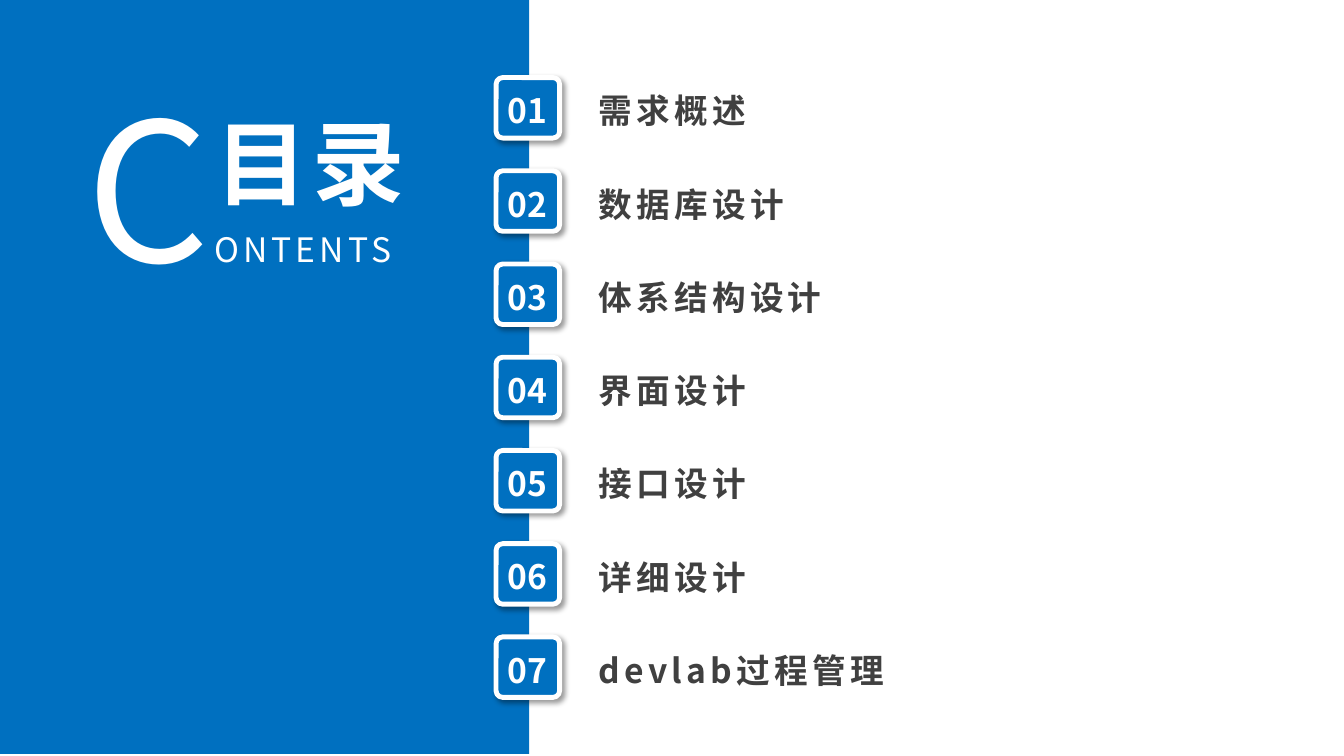
from lxml import etree
from pptx import Presentation
from pptx import util as u
from pptx.dml.color import RGBColor
from pptx.enum import shapes, text
from pptx.oxml import ns

BLUE, WHITE, GREY, BLACK = "0070C0", "FFFFFF", "404040", "000000"
TOPICS = ["需求概述", "数据库设计", "体系结构设计", "界面设计",
          "接口设计", "详细设计", "devlab过程管理"]
FIRST_ROW, ROW_STEP = 10.27, 12.33


def rgb(color):
    return RGBColor.from_string(color)


class Deck:
    """Draws on one slide, with lengths in hundredths of its width and height."""

    font = "Noto Sans CJK SC"

    def __init__(self):
        self.prs = Presentation()
        self.prs.slide_width, self.prs.slide_height = u.Inches(13.33), u.Inches(7.5)
        self.s = self.prs.slides.add_slide(self.prs.slide_layouts[1])

    def box(self, x, y, w, h):
        col, row = self.prs.slide_width / 100, self.prs.slide_height / 100
        return [u.Emu(round(n)) for n in (x * col, y * row, w * col, h * row)]

    def place(self, sp, *at):
        sp.left, sp.top, sp.width, sp.height = self.box(*at)

    def frame(self, sp, anchor=text.MSO_ANCHOR.MIDDLE):
        tf = sp.text_frame
        tf.word_wrap, tf.auto_size = True, text.MSO_AUTO_SIZE.NONE
        tf.vertical_anchor = anchor
        return tf

    def run(self, p, words, size, color, bold=False, spacing=0):
        r = p.add_run()
        r.text = words
        r.font.size, r.font.bold, r.font.name = u.Pt(size), bold, self.font
        r.font.color.rgb = rgb(color)
        rPr = r.font._element
        rPr.set("spc", str(spacing * 100))
        etree.SubElement(rPr, ns.qn("a:ea"), typeface=self.font)

    def panel(self, *at):
        sp = self.s.shapes.add_shape(shapes.MSO_SHAPE.RECTANGLE, *self.box(*at))
        sp.shadow.inherit = False
        sp.fill.solid()
        sp.fill.fore_color.rgb = rgb(BLUE)
        sp.line.fill.background()
        self.s.shapes.title.element.addprevious(sp.element)

    def title(self, words, *at):
        sp = self.s.shapes.title
        self.place(sp, *at)
        p = self.frame(sp).paragraphs[0]
        p.alignment = text.PP_ALIGN.JUSTIFY
        self.run(p, words, 66, WHITE, True, 3)

    def label(self, parts, align, *at, parent=None, bold=False, spacing=0):
        sp = (parent or self.s).shapes.add_textbox(*self.box(*at))
        p = self.frame(sp).paragraphs[0]
        p.alignment = align
        for words, size in parts:
            self.run(p, words, size, WHITE, bold, spacing)

    def tile(self, number, y):
        group = self.s.shapes.add_group_shape()
        sp = group.shapes.add_shape(shapes.MSO_SHAPE.ROUNDED_RECTANGLE,
                                    *self.box(36.91, y, 4.73, 8))
        sp.adjustments[0] = 0.11
        sp.fill.solid()
        sp.fill.fore_color.rgb = rgb(BLUE)
        sp.line.color.rgb, sp.line.width = rgb(WHITE), u.Pt(3.5)
        self.drop_shadow(sp)
        self.label([(f"{number:02}", 24)], text.PP_ALIGN.CENTER,
                   36.7, y + 1, 5.1, 6.67, parent=group, bold=True)

    def drop_shadow(self, sp):
        sp.shadow.inherit = False
        effects = sp.element.spPr.find(ns.qn("a:effectLst"))
        shadow = etree.SubElement(
            effects, ns.qn("a:outerShdw"), blurRad=str(u.Pt(4)), dist=str(u.Pt(3)),
            dir=str(45 * 60000), algn="tl", rotWithShape="0")
        color = etree.SubElement(shadow, ns.qn("a:srgbClr"), val=BLACK)
        etree.SubElement(color, ns.qn("a:alpha"), val="40000")

    def topics(self, items, *at):
        sp = self.s.placeholders[1]
        self.place(sp, *at)
        tf = self.frame(sp, text.MSO_ANCHOR.TOP)
        line = 35
        gap = round(self.prs.slide_height.pt * ROW_STEP / 100 - line, 1)
        for i, item in enumerate(items):
            p = tf.add_paragraph() if i else tf.paragraphs[0]
            pPr = p._p.get_or_add_pPr()
            pPr.set("marL", "0")
            pPr.set("indent", "0")
            etree.SubElement(pPr, ns.qn("a:buNone"))
            p.line_spacing, p.space_before = u.Pt(line), u.Pt(0)
            p.space_after = u.Pt(gap if i < len(items) - 1 else 0)
            self.run(p, item, 24, GREY, True, 3)


def main():
    deck = Deck()
    deck.panel(0, -0.27, 39.38, 100)
    deck.title("目录", 15.3, 13.6, 18.3, 15.6)
    deck.label([("C", 138), ("ONTENTS", 24)], text.PP_ALIGN.JUSTIFY,
               5.7, 8.8, 27.6, 31.33, spacing=3)
    for i in range(len(TOPICS)):
        deck.tile(i + 1, FIRST_ROW + i * ROW_STEP)
    deck.topics(TOPICS, 43.81, 10.13, 24, 81.33)
    deck.prs.save("out.pptx")


if __name__ == "__main__":
    main()
